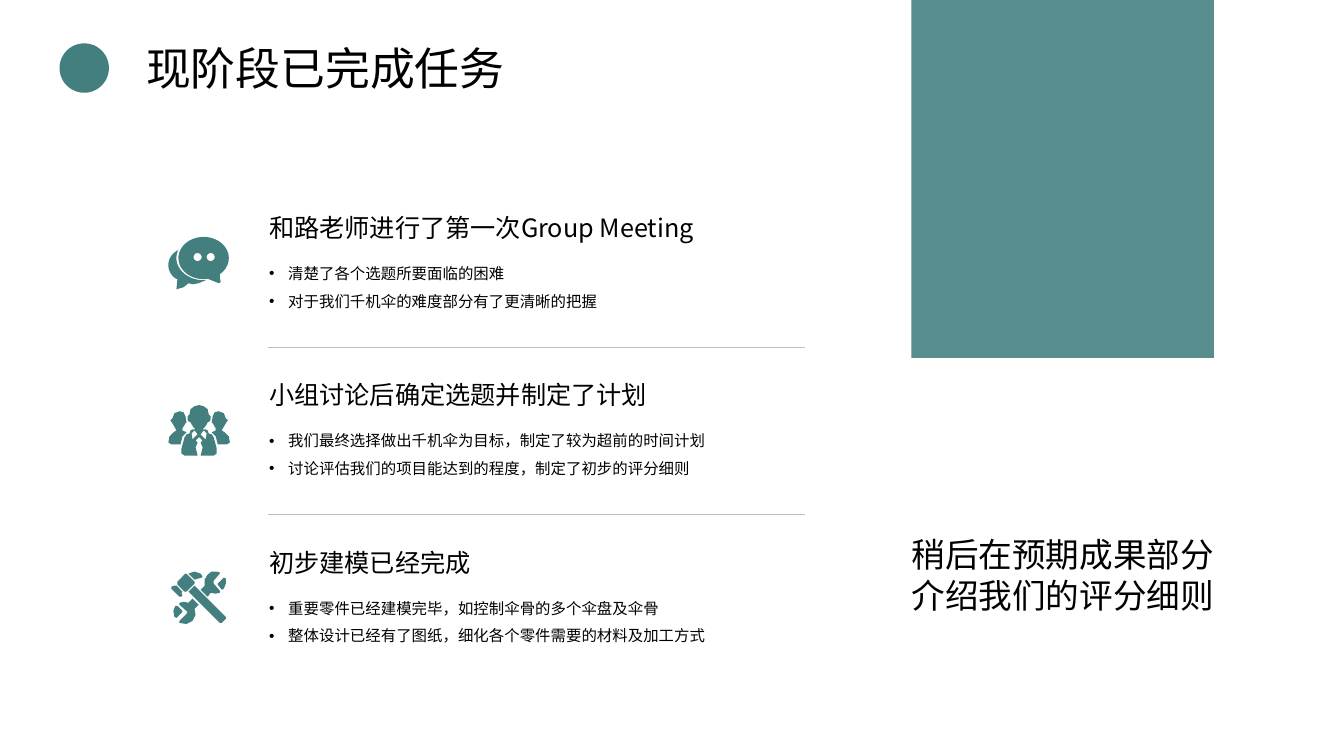
"""Slide listing the tasks completed so far, with three icon rows."""
import math

from lxml import etree
from pptx import Presentation
from pptx.dml.color import RGBColor
from pptx.enum.shapes import MSO_CONNECTOR, MSO_SHAPE
from pptx.enum.text import MSO_ANCHOR, PP_ALIGN
from pptx.oxml.ns import qn
from pptx.util import Pt

PX = 9144
FONT = "Noto Sans CJK SC"
TEAL, BLACK, GREY = "437F7F", "000000", "BFBFBF"
RECT, OVAL, LINE = MSO_SHAPE.RECTANGLE, MSO_SHAPE.OVAL, MSO_CONNECTOR.STRAIGHT
TOP, MIDDLE = MSO_ANCHOR.TOP, MSO_ANCHOR.MIDDLE
LEFT, CENTER, JUSTIFY = PP_ALIGN.LEFT, PP_ALIGN.CENTER, PP_ALIGN.JUSTIFY
rgb = RGBColor.from_string


def add_text(box, lines, size, anchor=TOP, align=LEFT, bullets=False):
    tf = s.shapes.add_textbox(*(v * PX for v in box)).text_frame
    tf.word_wrap = True
    tf.vertical_anchor = anchor
    for i, line in enumerate(lines):
        p = tf.add_paragraph() if i else tf.paragraphs[0]
        p.alignment = align
        if bullets:
            p.line_spacing = 1.5
            pPr = p._p.get_or_add_pPr()
            pPr.set("marL", str(19 * PX))
            pPr.set("indent", str(-19 * PX))
            etree.SubElement(pPr, qn("a:buFont")).set("typeface", "Arial")
            etree.SubElement(pPr, qn("a:buChar")).set("char", "•")
        r = p.add_run()
        r.text = line
        for key, value in {"name": FONT, "size": Pt(size)}.items():
            setattr(r.font, key, value)
        r.font.color.rgb = rgb(BLACK)
        etree.SubElement(r._r.get_or_add_rPr(), qn("a:ea")).set("typeface", FONT)


def arc(cx, cy, rx, ry, start, end):
    angles = [math.radians(start + (end - start) * i / 32) for i in range(33)]
    return [(cx + rx * math.cos(a), cy + ry * math.sin(a)) for a in angles]


prs = Presentation()
prs.slide_width, prs.slide_height = 1333 * PX, 750 * PX
s = prs.slides.add_slide(prs.slide_layouts[6])

for kind, box, alpha in [(RECT, (904, 0, 300, 355), 89), (OVAL, (59, 43, 49, 49), 100)]:
    sp = s.shapes.add_shape(kind, *(v * PX for v in box))
    sp.shadow.inherit = False
    sp.fill.solid()
    sp.fill.fore_color.rgb = rgb(TEAL)
    sp.line.fill.background()
    if alpha < 100:
        color = sp.fill._xPr.find(qn("a:solidFill"))[0]
        etree.SubElement(color, qn("a:alpha")).set("val", str(alpha * 1000))

add_text((135, 35, 392, 64), ["现阶段已完成任务"], 32, align=JUSTIFY)
add_text((888, 452, 332, 236), ["稍后在预期成果部分介绍我们的评分细则"], 24, MIDDLE, CENTER)

bubbles = [
    [(177, 247)] + arc(202, 256, 27, 22, 200, 85)
    + [(197, 281), (191, 282), (187, 281), (182, 285), (175, 287), (176, 277)]
    + arc(186, 263, 19, 17, 130, 240),
    arc(202, 256, 25, 21, 80, 410) + [(218, 275), (219, 280), (217, 281), (212, 279)],
    arc(196, 255, 4, 4, 0, 360),
    arc(209, 255, 4, 4, 0, 360),
]

leader = [(198, 402), (202, 403), (206, 406), (207, 411), (209, 413), (209, 416),
          (208, 418), (206, 419), (205, 421), (203, 424), (201, 426), (204, 426),
          (206, 427), (207, 430), (210, 431), (212, 434), (215, 445), (215, 450),
          (212, 452), (199, 452), (201, 444), (199, 439), (201, 437), (198, 434)]
collar = [(202, 427), (199, 431), (204, 436), (205, 430)]
member = [(217, 408), (222, 410), (224, 415), (226, 417), (224, 420), (221, 425),
          (220, 427), (223, 429), (227, 433), (228, 439), (225, 441), (216, 441),
          (214, 433), (210, 429), (214, 427), (214, 425), (211, 420), (210, 419),
          (211, 413), (213, 409)]
mirrored = [[(395 - x, y) for x, y in part] for part in (leader, collar, member)]
team = [leader + mirrored[0][::-1], collar, member] + mirrored[1:]

tools = [
    [(176, 601), (181, 606), (181, 607), (175, 613), (173, 612), (172, 606), (174, 601)],
    [(191, 594), (197, 600), (193, 604), (194, 610), (191, 616), (185, 619), (178, 618),
     (178, 616), (185, 609), (186, 607), (178, 600), (178, 598), (182, 597), (187, 598)],
    [(193, 581), (224, 612), (224, 614), (220, 618), (218, 618), (187, 587)],
    [(175, 581), (181, 587), (180, 588), (181, 591), (180, 592), (178, 592), (170, 584),
     (170, 582), (173, 581)],
    [(222, 573), (224, 574), (224, 579), (222, 584), (220, 585), (216, 580), (216, 579)],
    [(184, 569), (186, 570), (193, 577), (193, 579), (185, 587), (183, 587), (176, 580),
     (176, 577)],
    [(193, 567), (199, 569), (201, 572), (200, 573), (193, 575), (187, 569)],
    [(215, 567), (218, 568), (218, 569), (212, 576), (212, 579), (218, 586), (218, 588),
     (214, 589), (209, 588), (206, 592), (199, 585), (203, 581), (203, 575), (206, 570),
     (210, 567)],
]

tasks = [
    (bubbles, "和路老师进行了第一次Group Meeting",
     ["清楚了各个选题所要面临的困难", "对于我们千机伞的难度部分有了更清晰的把握"]),
    (team, "小组讨论后确定选题并制定了计划",
     ["我们最终选择做出千机伞为目标，制定了较为超前的时间计划",
      "讨论评估我们的项目能达到的程度，制定了初步的评分细则"]),
    (tools, "初步建模已经完成",
     ["重要零件已经建模完毕，如控制伞骨的多个伞盘及伞骨",
      "整体设计已经有了图纸，细化各个零件需要的材料及加工方式"]),
]
for row, (icon, heading, points) in enumerate(tasks):
    y = 203 + 166 * row
    add_text((257, y, 541, 45), [heading], 18, MIDDLE)
    add_text((257, y + 45, 541, 70), points, 11, bullets=True)

    outlines = [[(px * PX, py * PX) for px, py in part] for part in icon]
    builder = s.shapes.build_freeform(*outlines[0][0])
    for i, outline in enumerate(outlines):
        if i:
            builder.move_to(*outline[0])
        builder.add_line_segments(outline[1:], close=True)
    sp = builder.convert_to_shape()
    sp.shadow.inherit = False
    sp.fill.solid()
    sp.fill.fore_color.rgb = rgb(TEAL)
    sp.line.fill.background()

    if row < len(tasks) - 1:
        rule = s.shapes.add_connector(LINE, 266 * PX, (y + 141) * PX, 798 * PX, (y + 141) * PX)
        rule.line.color.rgb = rgb(GREY)
        rule.line.width = Pt(0.25)
        etree.SubElement(rule._element.spPr, qn("a:effectLst"))

prs.save("out.pptx")
